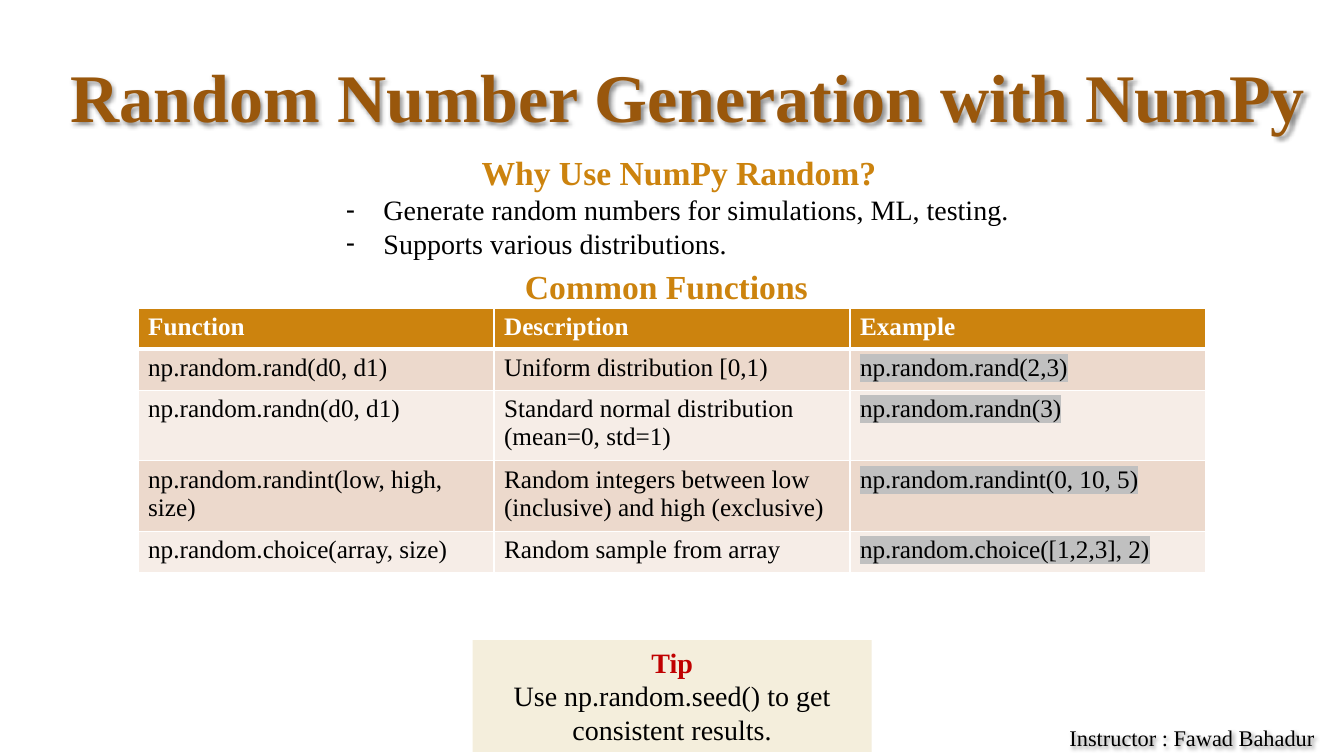
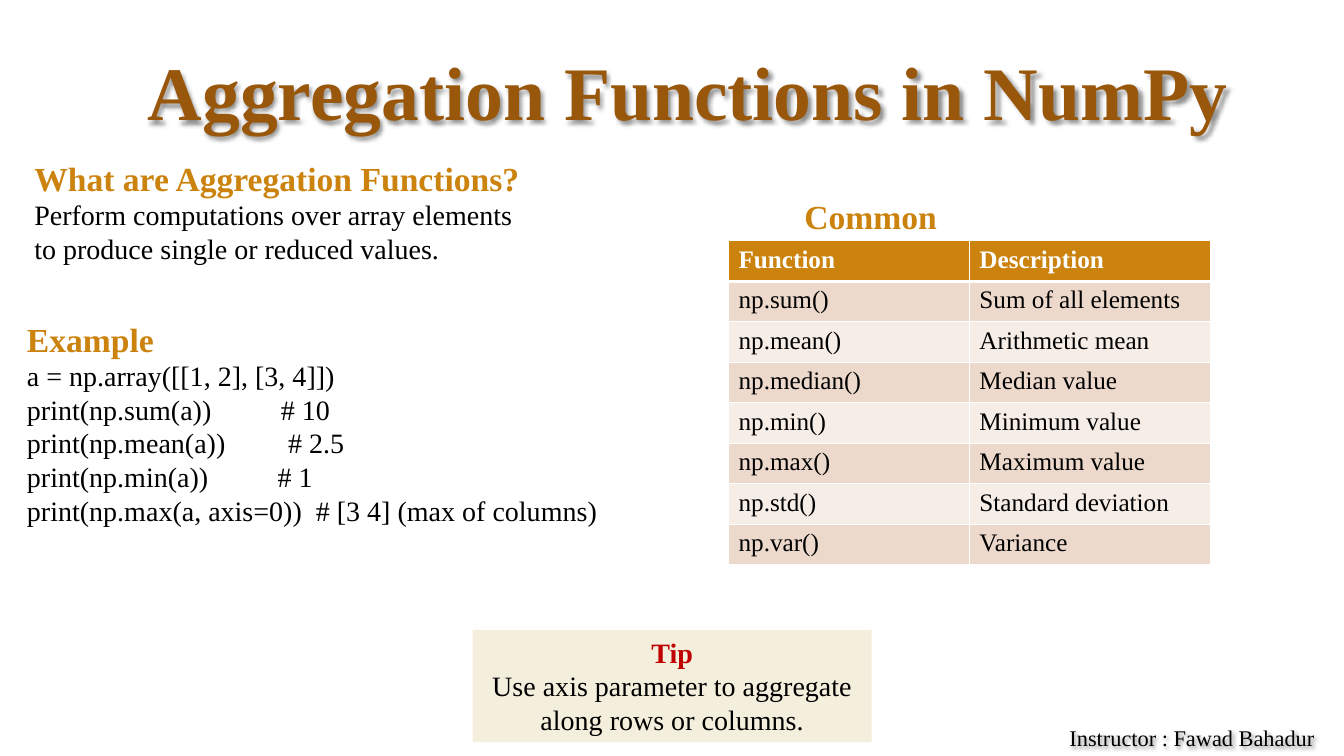
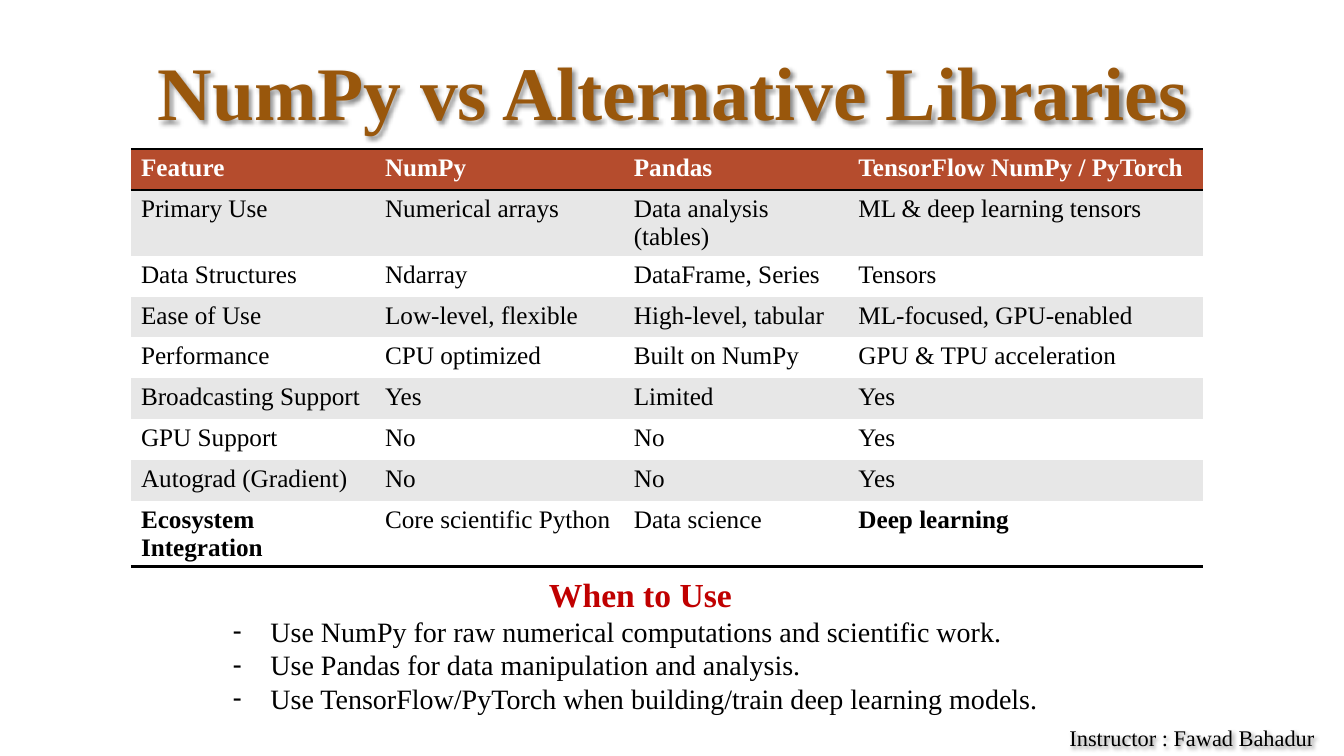
from lxml import etree
from pptx import Presentation
from pptx import util as u
from pptx.dml.color import RGBColor
from pptx.enum import shapes, text
from pptx.oxml import parse_xml
from pptx.oxml.ns import nsdecls, qn

BROWN = RGBColor(0x99, 0x57, 0x0C)
OCHRE = RGBColor(0xCC, 0x83, 0x0E)
RUST = RGBColor(0xB5, 0x4C, 0x2D)
RED = RGBColor(0xC0, 0x00, 0x00)
CREAM = RGBColor(0xF4, 0xEE, 0xDC)
ROSE = RGBColor(0xEC, 0xD9, 0xCC)
PALE_ROSE = RGBColor(0xF6, 0xED, 0xE7)
GREY = RGBColor(0xE7, 0xE7, 0xE7)
SILVER = RGBColor(0xC0, 0xC0, 0xC0)
WHITE = RGBColor(0xFF, 0xFF, 0xFF)
BLACK = RGBColor(0x00, 0x00, 0x00)

LEFT, CENTER, JUSTIFY = text.PP_ALIGN.LEFT, text.PP_ALIGN.CENTER, text.PP_ALIGN.JUSTIFY
GROW, FIXED = text.MSO_AUTO_SIZE.SHAPE_TO_FIT_TEXT, text.MSO_AUTO_SIZE.NONE
NO_TABLE_STYLE = "{2D5ABB26-0587-4C30-8999-92F81FD0307C}"
INDENT = u.Cm(0.95)

# style: size, bold, colour, alignment
STYLES = {
    "title": (54, True, BROWN, CENTER),
    "long title": (48.6, True, BROWN, CENTER),
    "heading": (24, True, OCHRE, JUSTIFY),
    "centred heading": (24, True, OCHRE, CENTER),
    "red heading": (24, True, RED, CENTER),
    "plain": (20, False, BLACK, LEFT),
    "code": (20, False, BLACK, LEFT),
    "bullet": (20, False, BLACK, JUSTIFY),
    "tip heading": (20, True, RED, CENTER),
    "tip": (20, False, BLACK, CENTER),
    "header cell": (18, True, WHITE, LEFT),
    "cell": (18, False, BLACK, LEFT),
    "bold cell": (18, True, BLACK, LEFT),
    "code cell": (18, False, BLACK, LEFT),
    "footer": (16, False, BLACK, CENTER),
}


def write(frame, lines):
    """Fill a text frame with (text, style) pairs, one paragraph each."""
    for number, (words, style) in enumerate(lines):
        paragraph = frame.paragraphs[0] if number == 0 else frame.add_paragraph()
        size, bold, colour, alignment = STYLES[style]
        paragraph.alignment = alignment
        paragraph.space_before = u.Pt(0)
        props = paragraph._p.get_or_add_pPr()
        if style == "bullet":
            props.set("marL", str(INDENT))
            props.set("indent", str(-INDENT))
            etree.SubElement(props, qn("a:buChar")).set("char", "-")
        elif style != "code":
            props.set("marL", "0")
            props.set("indent", "0")
            etree.SubElement(props, qn("a:buNone"))
        run = paragraph.add_run()
        run.text = words
        if style == "code cell":
            mark = etree.SubElement(run._r.get_or_add_rPr(), qn("a:highlight"))
            etree.SubElement(mark, qn("a:srgbClr")).set("val", str(SILVER))
        font = {"name": "Times New Roman", "size": u.Pt(size), "bold": bold}
        for name, value in font.items():
            setattr(run.font, name, value)
        run.font.color.rgb = colour


def place(shape, box, lines, auto_size=GROW, anchor=text.MSO_ANCHOR.TOP, shadow=False):
    """Set a shape's box in cm, its frame and its text."""
    for name, length in zip(("left", "top", "width", "height"), box):
        setattr(shape, name, u.Cm(length))
    frame = {"word_wrap": True, "auto_size": auto_size, "vertical_anchor": anchor}
    for name, value in frame.items():
        setattr(shape.text_frame, name, value)
    write(shape.text_frame, lines)
    if shadow:
        shape._element.spPr.append(parse_xml(
            f'<a:effectLst {nsdecls("a")}><a:outerShdw blurRad="38100" dist="20000" '
            'dir="2700000" algn="tl"><a:srgbClr val="000000"><a:alpha val="43000"/>'
            '</a:srgbClr></a:outerShdw></a:effectLst>'))


TITLE_BOX = (1.37, 0.28, 31.93, 3.3)
OCHRE_LOOK = {"head": OCHRE, "bands": (ROSE, PALE_ROSE), "grid": True}
RUST_LOOK = {"head": RUST, "bands": (GREY, WHITE), "grid": False}

CODE_RESULTS = [  # code, tab stop in cm, comment
    ("print(np.sum(a))", 6.4, "# 10"),
    ("print(np.mean(a))", 6.58, "# 2.5"),
    ("print(np.min(a))", 6.32, "# 1"),
    ("print(np.max(a, axis=0))", 7.28, "# [3 4] (max of columns)"),
]

SLIDES = [
    {
        "title": ("Random Number Generation with NumPy", "long title"),
        "title box": TITLE_BOX,
        "body": ((8.46, 3.71, 17.3, 3), [
            ("Why Use NumPy Random?", "centred heading"),
            ("Generate random numbers for simulations, ML, testing.", "bullet"),
            ("Supports various distributions.", "bullet")]),
        "asides": [((12.98, 6.58, 7.67, 1.27), [("Common Functions", "heading")])],
        "tip": (16.13, "Use np.random.seed() to get consistent results."),
        "table": {
            "at": (3.48, 7.77), "columns": (8.97,) * 3, "row": 1.03,
            "look": OCHRE_LOOK, "code column": 2, "bold": (),
            "rows": [
                ("Function", "Description", "Example"),
                ("np.random.rand(d0, d1)", "Uniform distribution [0,1)",
                 "np.random.rand(2,3)"),
                ("np.random.randn(d0, d1)", "Standard normal distribution (mean=0, std=1)",
                 "np.random.randn(3)"),
                ("np.random.randint(low, high, size)",
                 "Random integers between low (inclusive) and high (exclusive)",
                 "np.random.randint(0, 10, 5)"),
                ("np.random.choice(array, size)", "Random sample from array",
                 "np.random.choice([1,2,3], 2)"),
            ]},
    },
    {
        "title": ("Aggregation Functions in NumPy", "title"),
        "title box": TITLE_BOX,
        "body": ((0.61, 3.84, 13.06, 3), [
            ("What are Aggregation Functions?", "heading"),
            ("Perform computations over array elements to produce single or "
             "reduced values.", "plain")]),
        "asides": [
            ((20.02, 4.8, 8.74, 1.27), [("Common", "heading")]),
            ((0.43, 7.9, 14.94, 5.56), [
                ("Example", "heading"),
                ("a = np.array([[1, 2], [3, 4]])", "code"),
                *((f"{code}\t{comment}", "code") for code, _, comment in CODE_RESULTS)])],
        "tip": (15.88, "Use axis parameter to aggregate along rows or columns."),
        "table": {
            "at": (18.36, 6.07), "columns": (6.07,) * 2, "row": 1.02,
            "look": OCHRE_LOOK, "code column": None, "bold": (),
            "rows": [
                ("Function", "Description"),
                ("np.sum()", "Sum of all elements"),
                ("np.mean()", "Arithmetic mean"),
                ("np.median()", "Median value"),
                ("np.min()", "Minimum value"),
                ("np.max()", "Maximum value"),
                ("np.std()", "Standard deviation"),
                ("np.var()", "Variance"),
            ]},
    },
    {
        "title": ("NumPy vs Alternative Libraries", "title"),
        "title box": (0.81, 0.28, 32.31, 3.3),
        "body": ((5.61, 14.33, 21.06, 3.84), [
            ("When to Use", "red heading"),
            ("Use NumPy for raw numerical computations and scientific work.", "bullet"),
            ("Use Pandas for data manipulation and analysis.", "bullet"),
            ("Use TensorFlow/PyTorch when building/train deep learning models.", "bullet")]),
        "asides": [],
        "table": {
            "at": (3.3, 3.76), "columns": (6.15, 6.27, 5.66, 8.94), "row": 1.03,
            "look": RUST_LOOK, "code column": None,
            "bold": ("Ecosystem Integration", "Deep learning"),
            "rows": [
                ("Feature", "NumPy", "Pandas", "TensorFlow NumPy / PyTorch"),
                ("Primary Use", "Numerical arrays", "Data analysis (tables)",
                 "ML & deep learning tensors"),
                ("Data Structures", "Ndarray", "DataFrame, Series", "Tensors"),
                ("Ease of Use", "Low-level, flexible", "High-level, tabular",
                 "ML-focused, GPU-enabled"),
                ("Performance", "CPU optimized", "Built on NumPy", "GPU & TPU acceleration"),
                ("Broadcasting Support", "Yes", "Limited", "Yes"),
                ("GPU Support", "No", "No", "Yes"),
                ("Autograd (Gradient)", "No", "No", "Yes"),
                ("Ecosystem Integration", "Core scientific Python", "Data science",
                 "Deep learning"),
            ]},
    },
]

deck = Presentation()
deck.slide_width, deck.slide_height = u.Cm(33.87), u.Cm(19.05)

for content in SLIDES:
    slide = deck.slides.add_slide(deck.slide_layouts[1])
    title = slide.shapes.title
    place(title, content["title box"], [content["title"]], FIXED,
          text.MSO_ANCHOR.BOTTOM, shadow=True)
    title.text_frame.paragraphs[0].line_spacing = 0.9
    place(slide.placeholders[1], *content["body"])

    for box, lines in content["asides"]:
        aside = slide.shapes.add_textbox(0, 0, 0, 0)
        place(aside, box, lines)
        tabbed = [p for p in aside.text_frame.paragraphs if "\t" in p.text]
        for paragraph, (_, stop, _) in zip(tabbed, CODE_RESULTS):
            stops = etree.SubElement(paragraph._p.get_or_add_pPr(), qn("a:tabLst"))
            tab = etree.SubElement(stops, qn("a:tab"))
            tab.set("pos", str(u.Cm(stop)))
            tab.set("algn", "l")

    if "tip" in content:
        top, advice = content["tip"]
        tip = slide.shapes.add_shape(shapes.MSO_SHAPE.RECTANGLE, 0, 0, 0, 0)
        tip.shadow.inherit = False
        tip.fill.solid()
        tip.fill.fore_color.rgb = CREAM
        tip.line.fill.background()
        place(tip, (11.91, top, 10.06, 2.82), [("Tip", "tip heading"), (advice, "tip")])

    plan = content["table"]
    rows, look = plan["rows"], plan["look"]
    left, top = plan["at"]
    frame = slide.shapes.add_table(
        len(rows), len(rows[0]), u.Cm(left), u.Cm(top),
        u.Cm(sum(plan["columns"])), u.Cm(plan["row"] * len(rows)))
    table = frame.table
    table._tbl.tblPr.find(qn("a:tableStyleId")).text = NO_TABLE_STYLE
    for column, width in zip(table.columns, plan["columns"]):
        column.width = u.Cm(width)
    for r, row in enumerate(rows):
        table.rows[r].height = u.Cm(plan["row"])
        if look["grid"]:
            edges = {"L": 1, "R": 1, "T": 3 if r == 1 else 1, "B": 3 if r == 0 else 1}
        else:
            edges = {"T": 2 if r == 0 else 0, "B": 2 if r in (0, len(rows) - 1) else 0}
        for c, words in enumerate(row):
            cell = table.cell(r, c)
            for side, points in edges.items():
                if points:
                    edge = etree.SubElement(cell._tc.get_or_add_tcPr(), qn(f"a:ln{side}"))
                    edge.set("w", str(u.Pt(points)))
                    ink = etree.SubElement(edge, qn("a:solidFill"))
                    etree.SubElement(ink, qn("a:srgbClr")).set(
                        "val", str(WHITE if look["grid"] else BLACK))
            if not look["grid"]:
                cell.margin_bottom = 0
            cell.fill.solid()
            cell.fill.fore_color.rgb = look["bands"][(r - 1) % 2] if r else look["head"]
            if r == 0:
                style = "header cell"
            elif c == plan["code column"]:
                style = "code cell"
            else:
                style = "bold cell" if words in plan["bold"] else "cell"
            write(cell.text_frame, [(words, style)])

    footer = slide.shapes.add_textbox(0, 0, 0, 0)
    place(footer, (25.86, 18.06, 8.36, 1.27), [("Instructor : Fawad Bahadur", "footer")],
          FIXED, shadow=True)
    spacing = {"line_spacing": 1.1, "space_before": u.Pt(3.2), "space_after": u.Pt(6)}
    for name, value in spacing.items():
        setattr(footer.text_frame.paragraphs[0], name, value)

deck.save("out.pptx")
